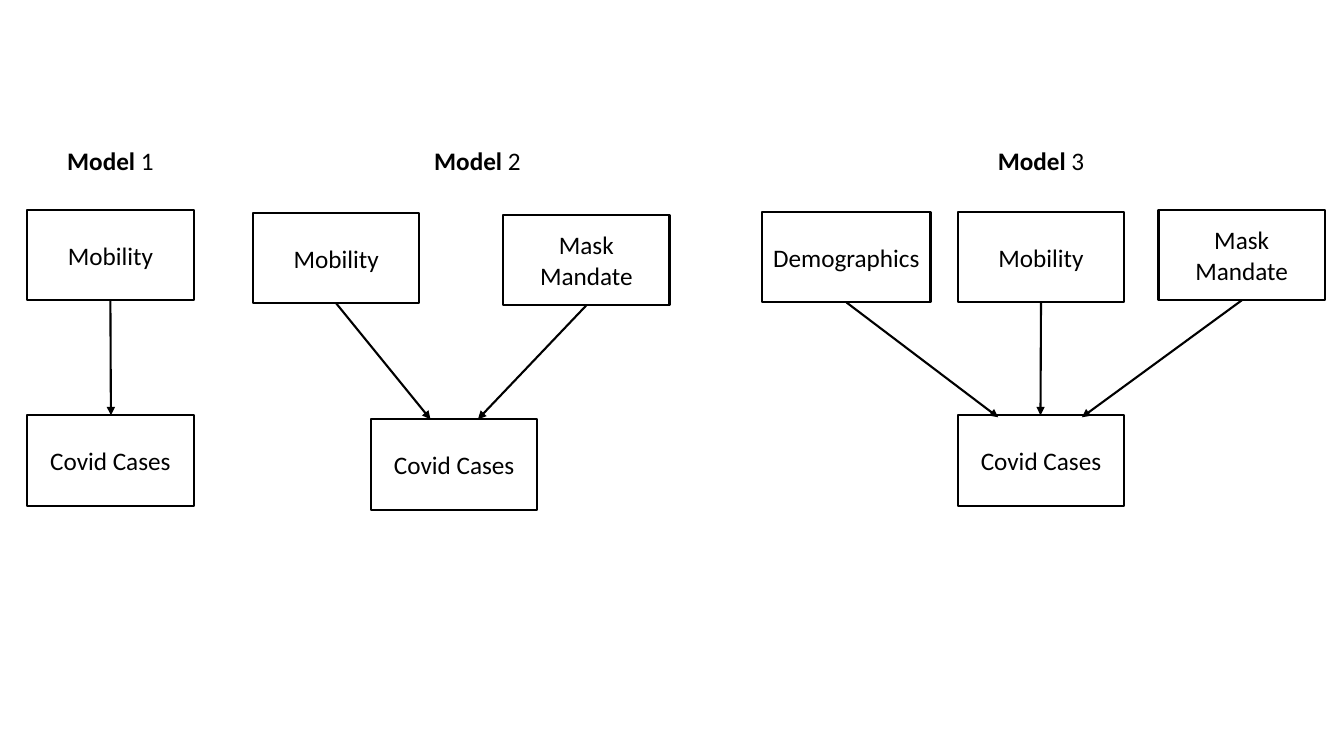
from pptx import Presentation
from pptx.dml.color import RGBColor
from pptx.enum.shapes import MSO_CONNECTOR as Connector, MSO_SHAPE as Shape
from pptx.enum.text import MSO_ANCHOR as Anchor, PP_ALIGN as Align
from pptx.oxml.ns import qn
from pptx.util import Inches, Pt
from lxml.etree import SubElement

BLACK = RGBColor(0, 0, 0)
FONT = "Calibri"
BOX_WIDTH, BOX_HEIGHT = 1.65, 0.9
TITLE_TOP, TITLE_HEIGHT = 1.39, 0.4
OUTCOME = "Covid Cases"

# causes: label, left, top, width, arrow tip x, arrow tip y
MODELS = [
    {"number": 1, "title_left": 0.27, "outcome": (0.27, 4.12),
     "causes": [("Mobility", 0.27, 2.08, BOX_WIDTH, 1.1, 4.12)]},
    {"number": 2, "title_left": 3.91, "outcome": (3.68, 4.16),
     "causes": [("Mobility", 2.51, 2.11, BOX_WIDTH, 4.27, 4.16),
                ("Mask Mandate", 4.99, 2.13, BOX_WIDTH, 4.74, 4.16)]},
    {"number": 3, "title_left": 9.5, "outcome": (9.5, 4.12),
     "causes": [("Demographics", 7.56, 2.1, 1.67, 9.9, 4.14),
                ("Mobility", 9.5, 2.1, BOX_WIDTH, 10.32, 4.12),
                ("Mask Mandate", 11.49, 2.08, BOX_WIDTH, 10.73, 4.14)]},
]


def style_paragraph(para):
    para.alignment = Align.CENTER
    para.font.name = FONT
    para.font.size = Pt(18)
    para.font.color.rgb = BLACK


def add_box(page, label, left, top, width=BOX_WIDTH):
    box = page.shapes.add_shape(
        Shape.RECTANGLE, Inches(left), Inches(top), Inches(width), Inches(BOX_HEIGHT))
    box.shadow.inherit = False
    box.fill.background()
    box.line.color.rgb = BLACK
    box.line.width = Pt(1.5)
    frame = box.text_frame
    frame.word_wrap = True
    frame.vertical_anchor = Anchor.MIDDLE
    frame.text = label
    style_paragraph(frame.paragraphs[0])


def add_arrow(page, start_x, start_y, tip_x, tip_y):
    arrow = page.shapes.add_connector(
        Connector.STRAIGHT, Inches(start_x), Inches(start_y), Inches(tip_x), Inches(tip_y))
    arrow.line.color.rgb = BLACK
    arrow.line.width = Pt(1.5)
    SubElement(arrow.line._get_or_add_ln(), qn("a:tailEnd"), type="triangle")
    SubElement(arrow._element.spPr, qn("a:effectLst"))


def add_title(page, number, left):
    box = page.shapes.add_textbox(
        Inches(left), Inches(TITLE_TOP), Inches(BOX_WIDTH), Inches(TITLE_HEIGHT))
    box.text_frame.word_wrap = True
    para = box.text_frame.paragraphs[0]
    style_paragraph(para)
    for text, bold in (("Model", True), (f" {number}", False)):
        span = para.add_run()
        span.text = text
        span.font.bold = bold


deck = Presentation()
deck.slide_width, deck.slide_height = Inches(13.33), Inches(7.5)
page = deck.slides.add_slide(deck.slide_layouts[6])

for model in MODELS:
    add_title(page, model["number"], model["title_left"])
    add_box(page, OUTCOME, *model["outcome"])
    for label, left, top, width, tip_x, tip_y in model["causes"]:
        add_box(page, label, left, top, width)
        add_arrow(page, left + width / 2, top + BOX_HEIGHT, tip_x, tip_y)

deck.save("out.pptx")
